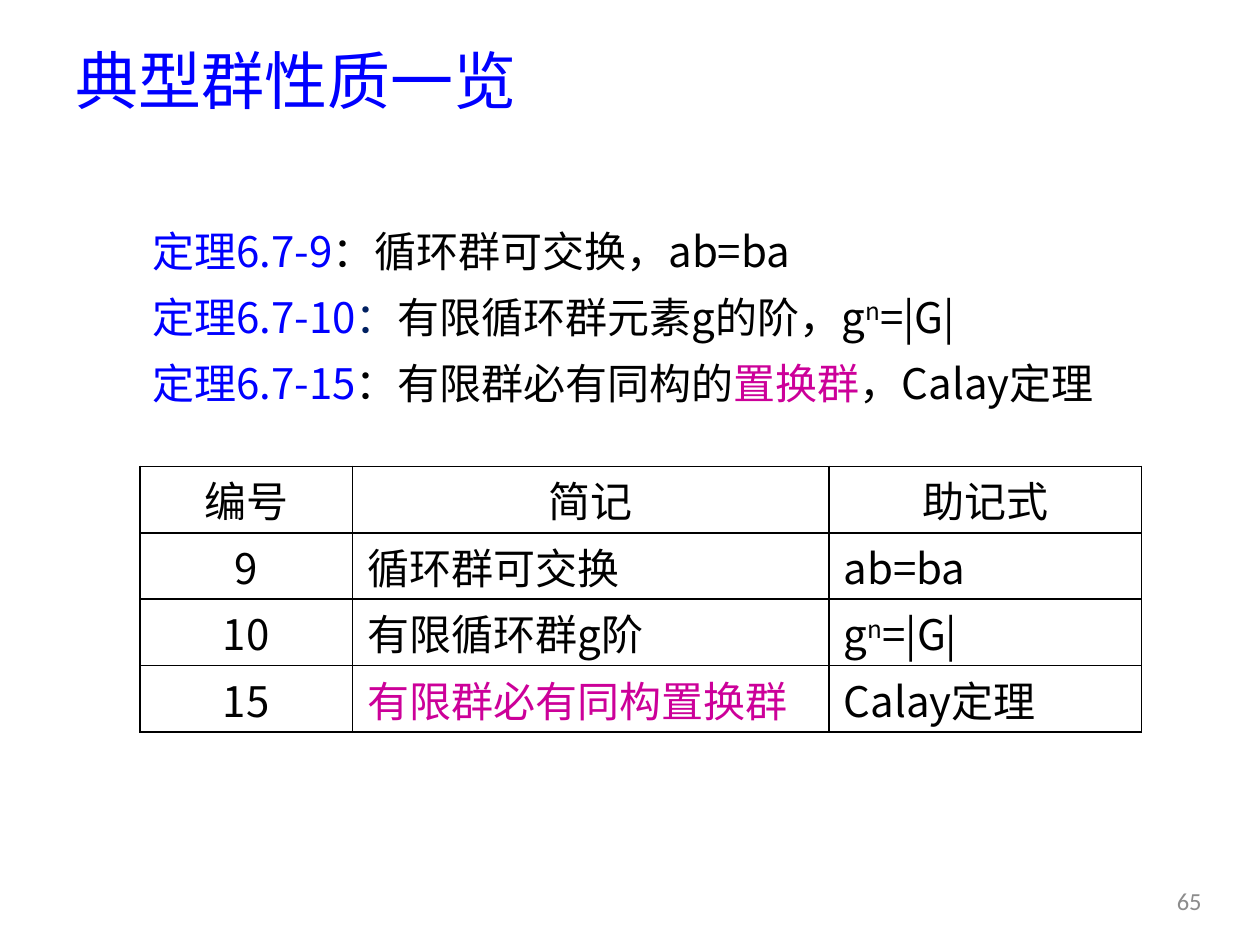
import pptx
import pptx.dml.color
import pptx.enum.text
import pptx.oxml.ns
import pptx.util
from lxml import etree

Cm = pptx.util.Cm
Pt = pptx.util.Pt
RGBColor = pptx.dml.color.RGBColor
Align = pptx.enum.text.PP_ALIGN
Anchor = pptx.enum.text.MSO_ANCHOR
qn = pptx.oxml.ns.qn

BLACK = RGBColor(0x00, 0x00, 0x00)
BLUE = RGBColor(0x00, 0x00, 0xFF)
NAVY = RGBColor(0x00, 0x20, 0x60)
MAGENTA = RGBColor(0xCC, 0x00, 0x99)
GRAY = RGBColor(0x8C, 0x8C, 0x8C)
CJK_FONT = "Noto Sans CJK SC"
NUMBER_FONT = "Calibri"
SUPERSCRIPT = "30000"
POWER = [("g", BLACK), ("n", BLACK, SUPERSCRIPT), ("=|G|", BLACK)]


class SlideBuilder:
    def __init__(self, slide, font=CJK_FONT, size=24):
        self.slide = slide
        self.font = font
        self.size = size

    def fill_paragraph(self, paragraph, runs, size=None, font=None, align=Align.LEFT):
        font = font or self.font
        paragraph.alignment = align
        paragraph.font.size = Pt(size or self.size)
        paragraph.font.name = font
        defaults = paragraph._p.pPr.find(qn("a:defRPr"))
        etree.SubElement(defaults, qn("a:ea"), typeface=font)
        one_color = len({color for _, color, *_ in runs}) == 1
        if one_color:
            paragraph.font.color.rgb = runs[0][1]
        for text, color, *baseline in runs:
            run = paragraph.add_run()
            run.text = text
            if not one_color:
                run.font.color.rgb = color
            if baseline:
                run._r.get_or_add_rPr().set("baseline", baseline[0])

    def add_text(self, box, paragraphs, anchor=Anchor.MIDDLE, spacing=None, before=0, **style):
        frame = self.slide.shapes.add_textbox(*map(Cm, box)).text_frame
        frame.word_wrap = True
        frame.vertical_anchor = anchor
        for index, runs in enumerate(paragraphs):
            paragraph = frame.add_paragraph() if index else frame.paragraphs[0]
            paragraph.line_spacing = spacing
            paragraph.space_before = Pt(before)
            self.fill_paragraph(paragraph, runs, **style)

    def style_cell(self, cell, runs, centered):
        cell.margin_left = Cm(0 if centered else 0.3)
        cell.margin_right = cell.margin_top = cell.margin_bottom = 0
        cell.vertical_anchor = Anchor.MIDDLE
        properties = cell._tc.get_or_add_tcPr()
        for side in ("a:lnL", "a:lnR", "a:lnT", "a:lnB"):
            line = etree.SubElement(properties, qn(side), w=str(Pt(1)))
            fill = etree.SubElement(line, qn("a:solidFill"))
            etree.SubElement(fill, qn("a:srgbClr"), val=str(BLACK))
        cell.fill.background()
        align = Align.CENTER if centered else Align.LEFT
        self.fill_paragraph(cell.text_frame.paragraphs[0], runs, align=align)

    def add_table(self, left, top, widths, row_height, rows):
        table = self.slide.shapes.add_table(
            len(rows), len(widths), Cm(left), Cm(top),
            Cm(sum(widths)), Cm(row_height * len(rows))).table
        table.first_row = table.horz_banding = False
        for column, width in zip(table.columns, widths):
            column.width = Cm(width)
        for row_index, row in enumerate(rows):
            table.rows[row_index].height = Cm(row_height)
            for column_index, runs in enumerate(row):
                centered = row_index == 0 or column_index == 0
                self.style_cell(table.cell(row_index, column_index), runs, centered)


def main():
    presentation = pptx.Presentation()
    presentation.slide_width = Cm(25.4)
    presentation.slide_height = Cm(19.05)
    slide = presentation.slides.add_slide(presentation.slide_layouts[6])
    builder = SlideBuilder(slide)

    builder.add_text((1.27, 0.69, 22.86, 1.8), [[("典型群性质一览", BLUE)]], size=36)
    theorems = [
        [("定理6.7-9", BLUE), ("：循环群可交换，ab=ba", BLACK)],
        [("定理6.7-10", BLUE), ("：", NAVY), ("有限循环群元素g的阶，", BLACK), *POWER],
        [("定理6.7-15", BLUE), ("：有限群必有同构的", BLACK),
         ("置换群", MAGENTA), ("，Calay定理", BLACK)],
    ]
    builder.add_text((2.82, 4.32, 19.76, 4.39), theorems,
                     anchor=Anchor.TOP, spacing=1.1, before=6)
    builder.add_text((23.24, 17.65, 1.47, 1.02), [[("65", GRAY)]],
                     size=14, font=NUMBER_FONT, align=Align.CENTER)

    summary = [
        [[("编号", BLACK)], [("简记", BLACK)], [("助记式", BLACK)]],
        [[("9", BLACK)], [("循环群可交换", BLACK)], [("ab=ba", BLACK)]],
        [[("10", BLACK)], [("有限循环群g阶", BLACK)], POWER],
        [[("15", BLACK)], [("有限群必有同构置换群", MAGENTA)], [("Calay定理", BLACK)]],
    ]
    builder.add_table(2.82, 9.4, (4.29, 9.6, 6.3), 1.34, summary)
    presentation.save("out.pptx")


if __name__ == "__main__":
    main()
